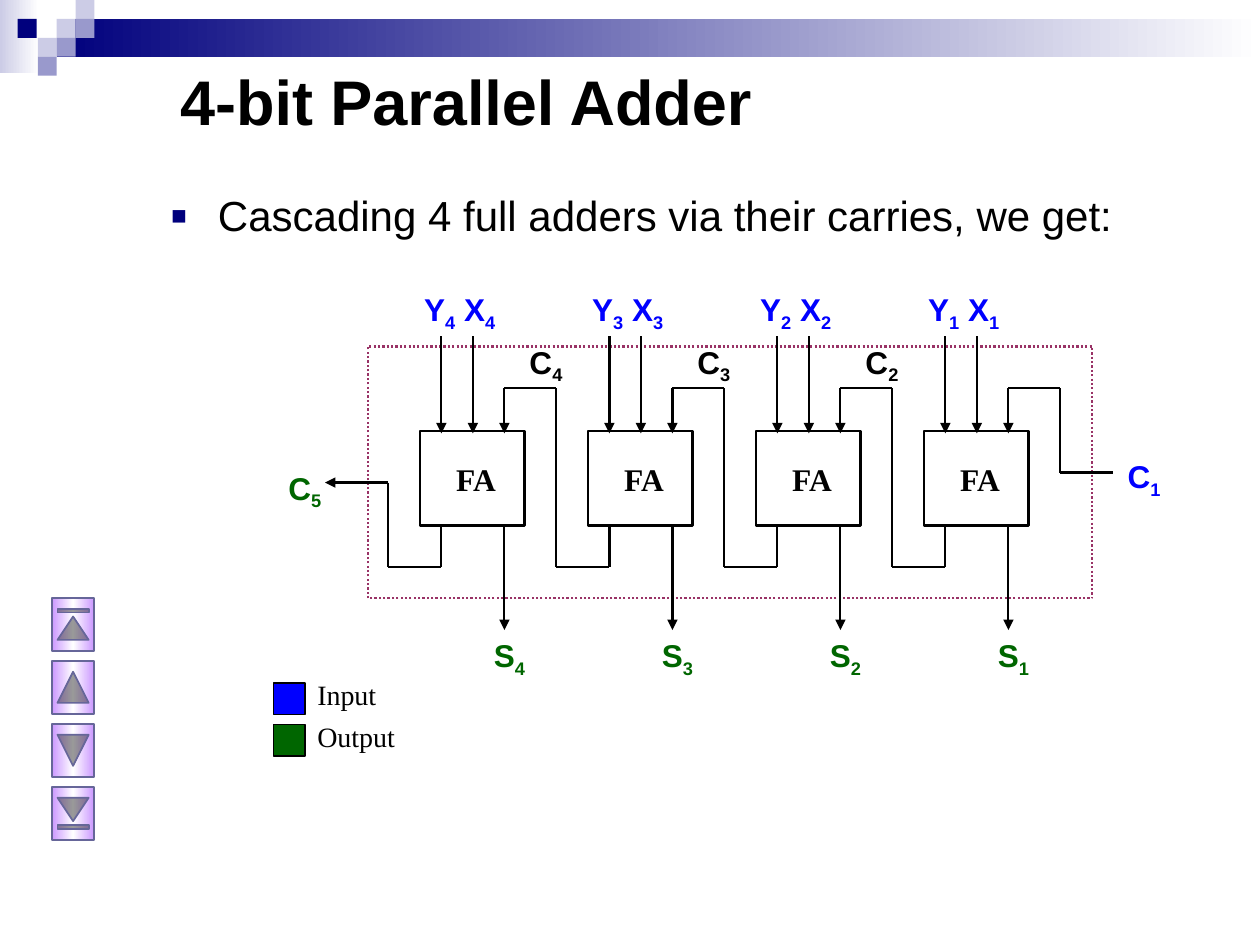
"""Build the 4-bit parallel adder slide."""
from dataclasses import dataclass

from lxml.etree import SubElement
from pptx import Presentation
from pptx.dml.color import RGBColor
from pptx.enum.dml import MSO_LINE
from pptx.enum.shapes import MSO_CONNECTOR, MSO_SHAPE
from pptx.enum.text import MSO_ANCHOR, MSO_AUTO_SIZE, PP_ALIGN
from pptx.oxml.ns import qn
from pptx.util import Inches, Pt


@dataclass(frozen=True)
class Theme:
    navy: str = "00007D"
    lavender: str = "CCCCE6"
    periwinkle: str = "9999CC"
    white: str = "FFFFFF"
    black: str = "000000"
    input: str = "0000FF"
    output: str = "006600"
    frame: str = "993366"
    button: str = "CC99FF"
    button_line: str = "666699"
    sans: str = "Arial"
    serif: str = "Times New Roman"
    title_size: int = 36
    body_size: int = 24
    label_size: int = 18
    legend_size: int = 16


theme = Theme()
deck = Presentation()
deck.slide_width, deck.slide_height = Inches(10), Inches(7.5)
page = deck.slides.add_slide(deck.slide_layouts[1])


def write(box, text, color, size, font=theme.sans, bold=True, align=PP_ALIGN.CENTER):
    """Fill a box with one paragraph in which an underscore marks a subscript digit."""
    frame = box.text_frame
    frame.word_wrap = True
    para = frame.paragraphs[0]
    para.alignment = align
    para.space_before = Pt(0)
    pieces = []
    for position, part in enumerate(text.split("_")):
        pieces += [(part[:1], True), (part[1:], False)] if position else [(part, False)]
    for piece, lowered in pieces:
        if not piece:
            continue
        span = para.add_run()
        span.text = piece
        values = {"size": Pt(size), "name": font, "bold": bold}
        for name, value in values.items():
            setattr(span.font, name, value)
        span.font.color.rgb = RGBColor.from_string(color)
        if lowered:
            span.font._element.set("baseline", "-25000")
    return para


def draw_wire(points, arrow=False):
    """Join the points with straight segments, with an arrowhead on request."""
    for start, end in zip(points, points[1:]):
        wire = page.shapes.add_connector(
            MSO_CONNECTOR.STRAIGHT, *(Inches(value) for value in start + end))
        wire.line.color.rgb = RGBColor.from_string(theme.black)
        wire.line.width = Pt(1.25)
        SubElement(wire._element.spPr, qn("a:effectLst"))
        if arrow:
            SubElement(wire.line._ln, qn("a:tailEnd"), type="triangle")


title, body = page.placeholders
placements = [(title, (1.33, 0.17, 8.5, 1.25)), (body, (1.25, 1.5, 8.5, 0.5))]
for holder, place in placements:
    for name, value in zip(("left", "top", "width", "height"), place):
        setattr(holder, name, Inches(value))
    holder.text_frame.auto_size = MSO_AUTO_SIZE.NONE
title.text_frame.vertical_anchor = MSO_ANCHOR.MIDDLE
write(title, "4-bit Parallel Adder", theme.black, theme.title_size, align=PP_ALIGN.LEFT)
para = write(body, "Cascading 4 full adders via their carries, we get:", theme.black,
             theme.body_size, bold=False, align=PP_ALIGN.LEFT)
para.line_spacing = 0.9
bullet = para._p.get_or_add_pPr()
bullet.set("marL", str(Inches(0.38)))
bullet.set("indent", str(Inches(-0.38)))
SubElement(SubElement(bullet, qn("a:buClr")), qn("a:srgbClr"), val=theme.navy)
SubElement(bullet, qn("a:buSzPct"), val="120000")
SubElement(bullet, qn("a:buFont"), typeface=theme.sans)
SubElement(bullet, qn("a:buChar"), char="▪")

pitch = 4 / 3
adders = [(4 - step, 10 / 3 + step * pitch) for step in range(4)]
legend = [("Input", theme.input, 5.42), ("Output", theme.output, 5.75)]
tiles = [
    (0.45, 0.15, theme.lavender), (0.6, 0, theme.lavender), (0.6, 0.15, theme.periwinkle),
    (0.3, 0.3, theme.lavender), (0.14, 0.15, theme.navy), (0.45, 0.3, theme.periwinkle),
    (0.3, 0.45, theme.periwinkle),
]
buttons = [
    MSO_SHAPE.ACTION_BUTTON_BEGINNING, MSO_SHAPE.ACTION_BUTTON_BACK_OR_PREVIOUS,
    MSO_SHAPE.ACTION_BUTTON_FORWARD_OR_NEXT, MSO_SHAPE.ACTION_BUTTON_END,
]

block = MSO_SHAPE.RECTANGLE
panels = [
    (block, (0, 0, 0.31, 0.58), (theme.lavender, theme.white), None, 0),
    (block, (0.45, 0.15, 9.55, 0.3), (theme.navy, theme.white), None, 0),
]
panels += [(block, (left, top, 0.15, 0.15), (color,), None, 0) for left, top, color in tiles]
panels += [(block, (left, 3.42, 0.83, 0.75), (), theme.black, 1.5) for number, left in adders]
panels += [(block, (2.92, 2.75, 5.75, 2), (), theme.frame, 1.25)]
panels += [(block, (2.17, top, 0.25, 0.25), (color,), theme.black, 0.75)
           for word, color, top in legend]
panels += [(kind, (0.37, 4.79 + 0.5 * row, 0.42, 0.33),
            (theme.button, theme.white, theme.button), theme.button_line, 1)
           for row, kind in enumerate(buttons)]

for kind, place, colors, outline, width in panels:
    panel = page.shapes.add_shape(kind, *(Inches(value) for value in place))
    panel.shadow.inherit = False
    if len(colors) > 1:
        panel.fill.gradient()
        panel.fill.gradient_angle = 0 if kind == block else 90
        stops = panel._element.spPr.find(".//" + qn("a:gsLst"))
        stops.clear()
        for position, color in enumerate(colors):
            stop = SubElement(stops, qn("a:gs"), pos=str(100000 * position // (len(colors) - 1)))
            SubElement(stop, qn("a:srgbClr"), val=color)
    elif colors:
        panel.fill.solid()
        panel.fill.fore_color.rgb = RGBColor.from_string(colors[0])
    else:
        panel.fill.background()
    if outline:
        panel.line.color.rgb = RGBColor.from_string(outline)
        panel.line.width = Pt(width)
    else:
        panel.line.fill.background()
    if outline == theme.frame:
        panel.line.dash_style = MSO_LINE.ROUND_DOT
    if kind != block:
        panel.rotation = 90

labels = [
    ("C_1", (8.83, 3.58, 0.5, 0.44), theme.input, theme.sans),
    ("C_5", (2.17, 3.67, 0.5, 0.44), theme.output, theme.sans),
]
for number, left in adders:
    labels += [
        (f"Y_{number} X_{number}", (left - 0.16, 2.25, 0.95, 0.44), theme.input, theme.sans),
        (f"S_{number}", (left + 0.42, 5, 0.58, 0.44), theme.output, theme.sans),
        ("FA", (left + 0.11, 3.6, 0.67, 0.4), theme.black, theme.serif),
    ]
    carry_out, operand, carry_in, bend = left + 0.17, left + 0.42, left + 0.67, left + 1.08
    for column, top, bottom in [(carry_out, 2.67, 3.44), (operand, 2.67, 3.44),
                                (carry_in, 3.08, 3.44), (carry_in, 4.17, 5)]:
        draw_wire([(column, top), (column, bottom)], arrow=True)
    if number > 1:
        labels.append((f"C_{number}", (left + 0.75, 2.67, 0.5, 0.44), theme.black, theme.sans))
        source = carry_out + pitch
        route = [(bend, 4.5), (source, 4.5), (source, 4.17)]
    else:
        route = [(bend, 3.75), (8.83, 3.75)]
    draw_wire([(carry_in, 3.08), (bend, 3.08)] + route)
draw_wire([(3.08, 3.83), (3.08, 4.5), (3.5, 4.5), (3.5, 4.17)])
draw_wire([(3.08, 3.83), (2.58, 3.83)], arrow=True)

for text, place, color, font in labels:
    box = page.shapes.add_textbox(*(Inches(value) for value in place))
    write(box, text, color, theme.label_size, font)
for word, color, top in legend:
    box = page.shapes.add_textbox(Inches(2.42), Inches(top - 0.09), Inches(1), Inches(0.37))
    write(box, word, theme.black, theme.legend_size, theme.serif, False, PP_ALIGN.LEFT)

deck.save("out.pptx")
